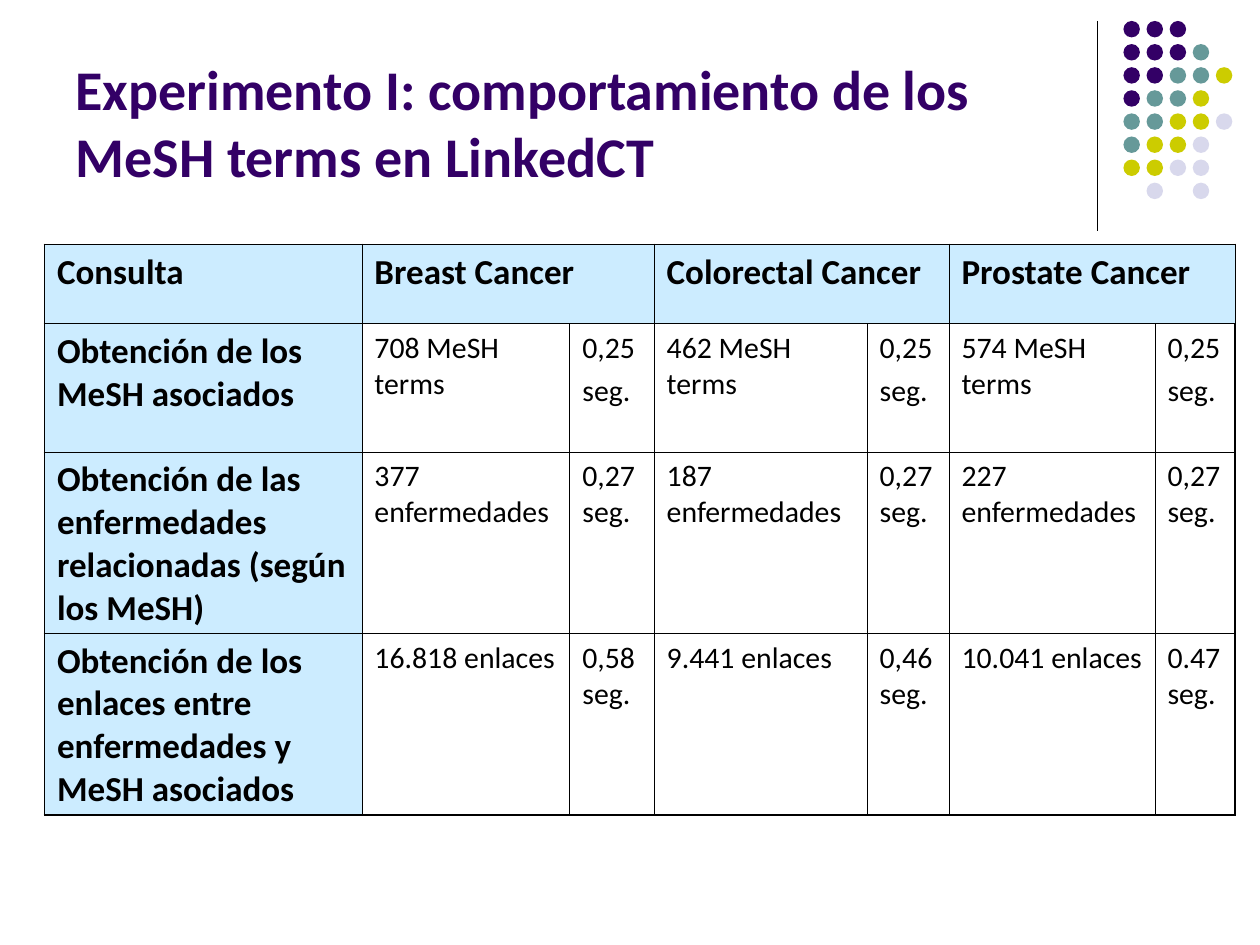
from dataclasses import dataclass

from lxml import etree
from pptx import Presentation
from pptx.dml.color import RGBColor
from pptx.enum import shapes, text
from pptx.oxml import ns
from pptx.util import Pt


@dataclass(frozen=True)
class Theme:
    """Colours, font and sizes of the slide."""
    font: str = "Calibri"
    purple: str = "330066"
    teal: str = "669999"
    lime: str = "CCCC00"
    lilac: str = "D8D8EC"
    black: str = "000000"
    header: str = "CCECFF"
    title_size: float = 32
    label_size: float = 20
    value_size: float = 17
    inner_line: float = 0.45
    outer_line: float = 1.08


THEME = Theme()
DOT_COLORS = {"p": THEME.purple, "t": THEME.teal, "y": THEME.lime, "l": THEME.lilac}
DOT_ROWS = ["ppp", "pppt", "pptty", "ptty", "ttyyl", "tyyl", "yyll", " l l"]
COLUMNS = [181.4, 118.8, 48.2, 121.7, 46.8, 117.7, 45.8]
ROWS = [45.2, 73.4, 103.7, 103.7]
CELLS = [
    ["Consulta", "Breast Cancer", "", "Colorectal Cancer", "", "Prostate Cancer", ""],
    ["Obtención de los MeSH asociados", "708 MeSH terms", "0,25\nseg.",
     "462 MeSH terms", "0,25\nseg.", "574 MeSH terms", "0,25\nseg."],
    ["Obtención de las enfermedades relacionadas (según los MeSH)",
     "377 enfermedades", "0,27 seg.", "187 enfermedades", "0,27 seg.",
     "227 enfermedades", "0,27 seg."],
    ["Obtención de los enlaces entre enfermedades y MeSH asociados",
     "16.818 enlaces", "0,58 seg.", "9.441 enlaces", "0,46 seg.",
     "10.041 enlaces", "0.47 seg."],
]


def write_text(tf, content, size, color=THEME.black, bold=False, gap=0):
    """Fill a text frame with one paragraph per line of content."""
    tf.word_wrap = True
    for i, line in enumerate(content.split("\n")):
        p = tf.add_paragraph() if i else tf.paragraphs[0]
        p.space_before = Pt(gap if i else 0)
        r = p.add_run()
        r.text = line
        r.font.name, r.font.size, r.font.bold = THEME.font, Pt(size), bold
        r.font.color.rgb = RGBColor.from_string(color)


def add_title(s, x, y, w, h):
    """Place the slide title at the bottom of its box."""
    tf = s.shapes.add_textbox(Pt(x), Pt(y), Pt(w), Pt(h)).text_frame
    tf.vertical_anchor = text.MSO_ANCHOR.BOTTOM
    write_text(tf, "Experimento I: comportamiento de los MeSH terms en LinkedCT",
               THEME.title_size, color=THEME.purple, bold=True)


def add_rule(s, x, y, h):
    """Draw the vertical line beside the title."""
    line = s.shapes.add_connector(shapes.MSO_CONNECTOR.STRAIGHT,
                                  Pt(x), Pt(y), Pt(x), Pt(y + h))
    line.line.color.rgb = RGBColor.from_string(THEME.black)
    line.line.width = Pt(0.75)
    etree.SubElement(line._element.spPr, ns.qn("a:effectLst"))


def add_dots(s, x, y, pitch=13.2, size=9.4):
    """Draw the corner ornament as a grouped grid of dots."""
    group = s.shapes.add_group_shape()
    for row, codes in enumerate(DOT_ROWS):
        for col, code in enumerate(codes):
            if code == " ":
                continue
            dot = group.shapes.add_shape(
                shapes.MSO_SHAPE.OVAL, Pt(x + col * pitch), Pt(y + row * pitch),
                Pt(size), Pt(size))
            dot.shadow.inherit = False
            dot.fill.solid()
            dot.fill.fore_color.rgb = RGBColor.from_string(DOT_COLORS[code])
            dot.line.fill.background()


def set_borders(cell, widths):
    """Set the left, right, top and bottom borders of a cell."""
    tc_pr = cell._tc.get_or_add_tcPr()
    for i, (side, width) in enumerate(zip("LRTB", widths)):
        ln = etree.Element(ns.qn(f"a:ln{side}"), w=str(Pt(width)))
        fill = etree.SubElement(ln, ns.qn("a:solidFill"))
        etree.SubElement(fill, ns.qn("a:srgbClr"), val=THEME.black)
        tc_pr.insert(i, ln)


def add_results(s, x, y):
    """Place the table of queries, result counts and times."""
    table = s.shapes.add_table(len(ROWS), len(COLUMNS), Pt(x), Pt(y),
                               Pt(sum(COLUMNS)), Pt(sum(ROWS))).table
    table.first_row = table.horz_banding = False
    for column, width in zip(table.columns, COLUMNS):
        column.width = Pt(width)
    for row, height in zip(table.rows, ROWS):
        row.height = Pt(height)
    last_row, last_col = len(ROWS) - 1, len(COLUMNS) - 1
    for i, values in enumerate(CELLS):
        for j, value in enumerate(values):
            cell = table.cell(i, j)
            label = i == 0 or j == 0
            if label:
                cell.fill.solid()
                cell.fill.fore_color.rgb = RGBColor.from_string(THEME.header)
            else:
                cell.fill.background()
            edges = (j == 0, j == last_col, i == 0, i == last_row)
            set_borders(cell, [THEME.outer_line if edge else THEME.inner_line
                               for edge in edges])
            if value:
                write_text(cell.text_frame, value,
                           THEME.label_size if label else THEME.value_size,
                           bold=label, gap=4.2)
    for j in range(1, last_col, 2):
        table.cell(0, j).merge(table.cell(0, j + 1))


def main():
    """Build and save the slide."""
    prs = Presentation()
    prs.slide_width, prs.slide_height = Pt(720), Pt(540)
    s = prs.slides.add_slide(prs.slide_layouts[6])
    add_rule(s, 627, 12, 120)
    add_dots(s, 642, 12)
    add_title(s, 36, 9.4, 594, 102.2)
    add_results(s, 25.4, 139.7)
    prs.save("out.pptx")


if __name__ == "__main__":
    main()
